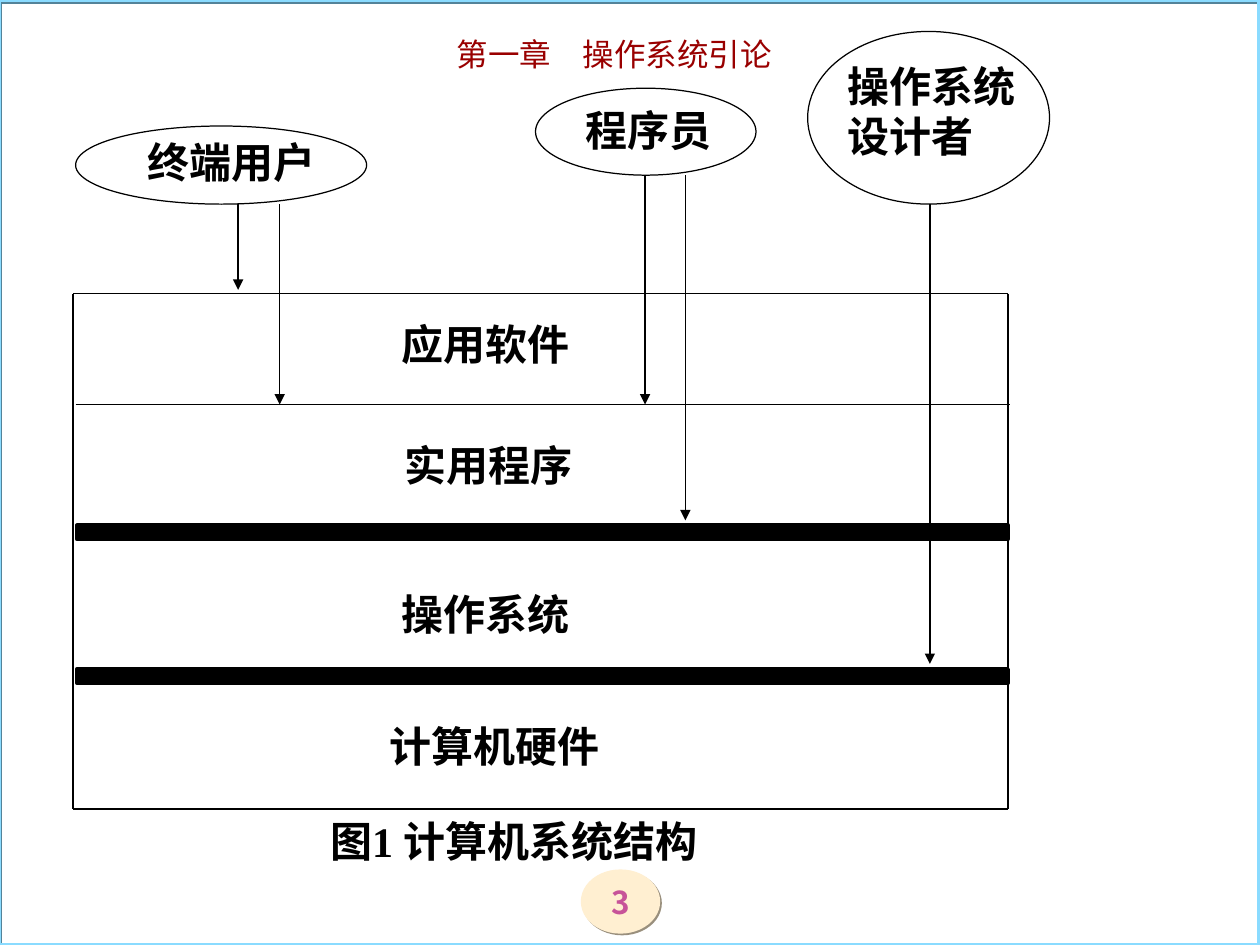
from lxml import etree
from pptx import Presentation
from pptx.dml.color import RGBColor
from pptx.enum.shapes import MSO_CONNECTOR, MSO_SHAPE
from pptx.enum.text import MSO_ANCHOR, PP_ALIGN
from pptx.oxml.ns import qn
from pptx.util import Inches, Pt

OVAL, RECT = MSO_SHAPE.OVAL, MSO_SHAPE.RECTANGLE
STRAIGHT = MSO_CONNECTOR.STRAIGHT
CENTER, JUSTIFY = PP_ALIGN.CENTER, PP_ALIGN.JUSTIFY
TOP, MIDDLE = MSO_ANCHOR.TOP, MSO_ANCHOR.MIDDLE

SC, JP, TIMES = "Noto Sans CJK SC", "Noto Sans CJK JP", "Times New Roman"
BLACK = "000000"
LABEL = {"size": Pt(24), "bold": True}
TITLE = {"size": Pt(18), "bold": False}
NUMBER = {"size": Pt(18), "bold": True}

LEFT, RIGHT = 0.58, 8
ROOF, UTILITY, FLOOR = 2.33, 3.21, 6.42
BAR_TOPS = [4.17, 5.31]

LABELS = [
    ((3.19, 2.53, 1.48, 0.4), ["应用软件"]),
    ((3.21, 3.49, 1.6, 0.4), ["实用程序"]),
    ((3.19, 4.67, 1.98, 0.4), ["操作系统"]),
    ((3.09, 5.72, 2.08, 0.4), ["计算机硬件"]),
    ((1.17, 1.08, 1.66, 0.4), ["终端用户"]),
    ((4.65, 0.83, 1.27, 0.4), ["程序员"]),
    ((6.73, 0.48, 1.35, 0.8), ["操作系统", "设计者"]),
]
CAPTION = [("图", SC), ("1 ", TIMES), ("计算机系统结构", SC)]
ROLES = [(0.6, 1, 2.31, 0.62), (4.25, 0.7, 1.75, 0.69), (6.41, 0.25, 1.92, 1.37)]
FRAME = [
    (LEFT, ROOF, RIGHT, ROOF),
    (LEFT, ROOF, LEFT, FLOOR),
    (RIGHT, ROOF, RIGHT, FLOOR),
    (LEFT, FLOOR, RIGHT, FLOOR),
    (0.6, UTILITY, 8.02, UTILITY),
]
ARROWS = [
    (1.89, 1.62, 2.3),
    (2.22, 1.62, UTILITY),
    (5.12, 1.39, UTILITY),
    (5.44, 1.39, 4.13),
    (7.38, 1.62, 5.27),
]


def rgb(value):
    return RGBColor.from_string(value)


def add_shape(kind, box, fill=None, line=None, width=0.71, shadow=None):
    sp = s.shapes.add_shape(kind, *map(Inches, box))
    sp.shadow.inherit = False
    if fill:
        sp.fill.solid()
        sp.fill.fore_color.rgb = rgb(fill)
    else:
        sp.fill.background()
    if line:
        sp.line.color.rgb = rgb(line)
        sp.line.width = Pt(width)
    else:
        sp.line.fill.background()
    if shadow:
        effects = sp._element.spPr.find(qn("a:effectLst"))
        outer = etree.SubElement(effects, qn("a:outerShdw"), dist=str(Pt(1.4)),
                                 dir="2700000", algn="ctr", rotWithShape="0")
        etree.SubElement(outer, qn("a:srgbClr"), val=shadow)
    return sp


def add_line(x1, y1, x2, y2, arrow=False):
    line = s.shapes.add_connector(STRAIGHT, *map(Inches, (x1, y1, x2, y2)))
    line.line.color.rgb = rgb(BLACK)
    line.line.width = Pt(0.75)
    if arrow:
        etree.SubElement(line.line._get_or_add_ln(), qn("a:tailEnd"), type="triangle")
    etree.SubElement(line._element.spPr, qn("a:effectLst"))


def write(sp, paragraphs, style, color=BLACK, align=JUSTIFY, anchor=TOP):
    tf = sp.text_frame
    frame = {"word_wrap": True, "vertical_anchor": anchor, "margin_left": 0,
             "margin_top": 0, "margin_right": 0, "margin_bottom": 0}
    for name, value in frame.items():
        setattr(tf, name, value)
    for i, runs in enumerate(paragraphs):
        p = tf.add_paragraph() if i else tf.paragraphs[0]
        p.alignment = align
        for text, face in runs:
            r = p.add_run()
            r.text = text
            for name, value in {**style, "name": face}.items():
                setattr(r.font, name, value)
            r.font.color.rgb = rgb(color)
            etree.SubElement(r._r.get_or_add_rPr(), qn("a:ea"), typeface=face)


def add_text(box, paragraphs, style, **options):
    write(s.shapes.add_textbox(*map(Inches, box)), paragraphs, style, **options)


prs = Presentation()
prs.slide_width, prs.slide_height = Inches(10), Inches(7.5)
s = prs.slides.add_slide(prs.slide_layouts[6])

page = add_shape(OVAL, (4.61, 6.9, 0.63, 0.51), fill="FFEFD1", shadow="998F7D")
write(page, [[("3", SC)]], NUMBER, color="C75399", align=CENTER, anchor=MIDDLE)
add_shape(RECT, (-0.01, 0, 10, 7.5), line="8ADBFF", width=2.25, shadow="538399")
add_text((2.08, 0.28, 5.59, 0.35), [[("第一章　操作系统引论", JP)]], TITLE,
         color="990000", align=CENTER)
add_text((2.62, 6.47, 3.63, 0.4), [CAPTION], LABEL)

for top in BAR_TOPS:
    add_shape(RECT, (0.61, top, 7.39, 0.11), fill=BLACK, line=BLACK, width=2.25)
for ends in FRAME:
    add_line(*ends)
for box, lines in LABELS:
    add_text(box, [[(text, SC)] for text in lines], LABEL)
for box in ROLES:
    add_shape(OVAL, box, line=BLACK)
for x, start, end in ARROWS:
    add_line(x, start, x, end, arrow=True)

prs.save("out.pptx")
